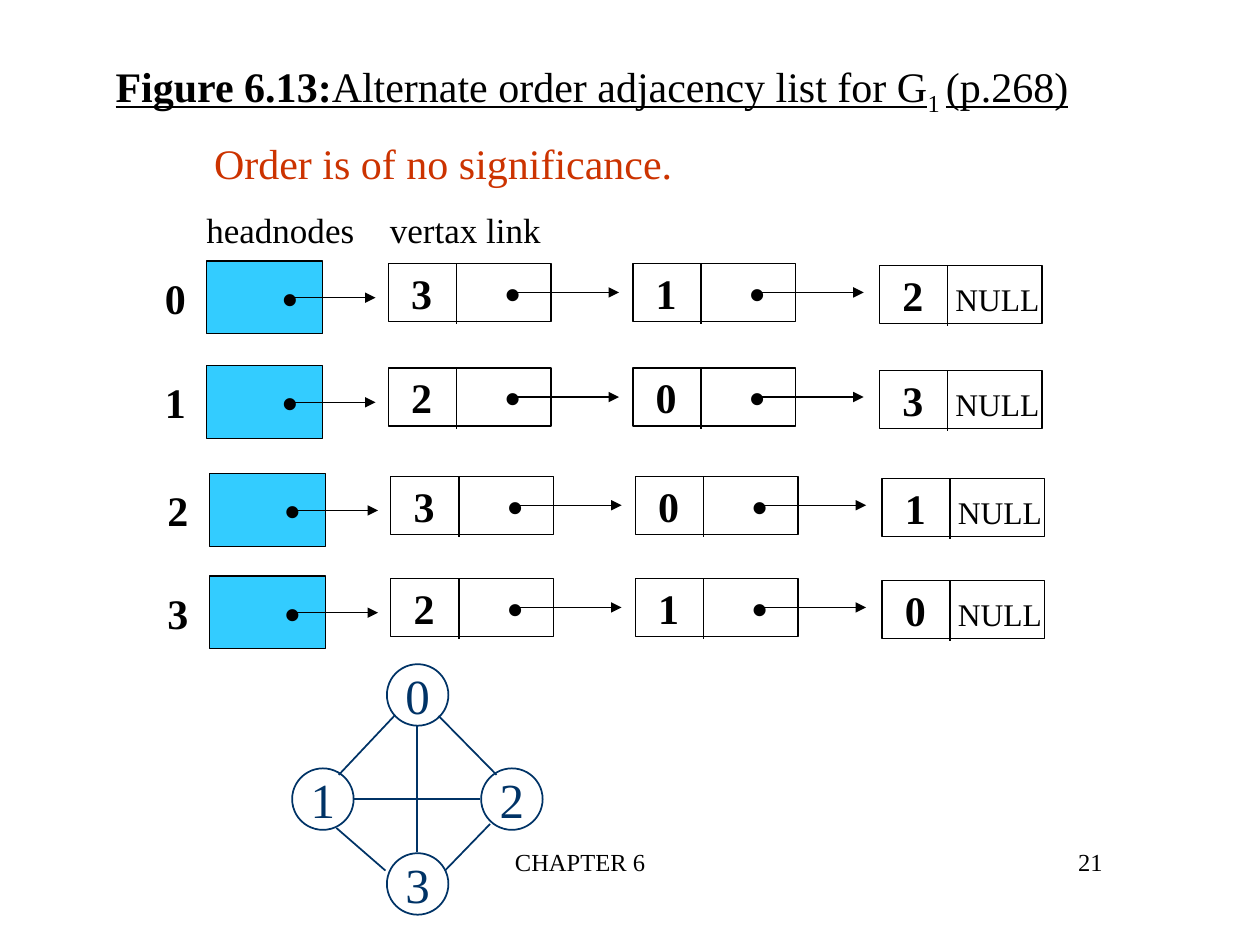
from dataclasses import dataclass
from typing import NamedTuple

import pptx
import pptx.dml.color
import pptx.enum.shapes
import pptx.enum.text
import pptx.oxml
import pptx.oxml.ns
import pptx.util

Cm, Pt = pptx.util.Cm, pptx.util.Pt
SHAPE = pptx.enum.shapes.MSO_SHAPE
ALIGN = pptx.enum.text.PP_ALIGN
ANCHOR = pptx.enum.text.MSO_ANCHOR

SERIF = "Times New Roman"
BLACK, WHITE, CYAN, NAVY, RED = "000000", "FFFFFF", "33CCFF", "003366", "CC3300"
CELL_W, CELL_H = 3.28, 1.17


class Run(NamedTuple):
    text: str
    size: float = 24
    color: str = BLACK
    bold: bool = False
    underline: bool = False
    font: str = SERIF
    baseline: int = 0


class Box(NamedTuple):
    x: float
    y: float
    w: float
    h: float


@dataclass
class ListRow:
    label: str
    x: float
    y: float
    vertices: str


class Edge(NamedTuple):
    x1: float
    y1: float
    x2: float
    y2: float


ROWS = [
    ListRow("0", 4.17, 5.26, "312"),
    ListRow("1", 4.17, 7.37, "203"),
    ListRow("2", 4.22, 9.55, "301"),
    ListRow("3", 4.22, 11.61, "210"),
]
CELL_OFFSETS = [(3.66, 0.05), (8.59, 0.05), (13.56, 0.1)]

VERTICES = {"0": (7.8, 13.39), "1": (5.89, 15.49), "2": (9.7, 15.49), "3": (7.8, 17.2)}
EDGES = [
    Edge(8.41, 14.63, 8.41, 17.17),
    Edge(7.14, 16.1, 9.68, 16.1),
    Edge(7.95, 14.43, 6.83, 15.62),
    Edge(8.84, 14.43, 10.01, 15.62),
    Edge(6.78, 16.69, 7.77, 17.55),
    Edge(9.88, 16.61, 8.97, 17.55),
]
DOT = Run("•", bold=True, font="Arial")


def rgb(color: str) -> pptx.dml.color.RGBColor:
    return pptx.dml.color.RGBColor.from_string(color)


def add_xml(parent, tag: str, **attrs: str):
    el = pptx.oxml.parse_xml(f"<a:{tag} {pptx.oxml.ns.nsdecls('a')}/>")
    for name, value in attrs.items():
        el.set(name, value)
    parent.append(el)
    return el


def set_text(sp, *runs: Run, align=ALIGN.LEFT, anchor=ANCHOR.MIDDLE, wrap: bool = True,
             left: float = 0.25, right: float = 0.25, tab: float | None = None) -> None:
    tf = sp.text_frame
    tf.auto_size = pptx.enum.text.MSO_AUTO_SIZE.NONE
    tf.word_wrap, tf.vertical_anchor = wrap, anchor
    tf.margin_left, tf.margin_right = Cm(left), Cm(right)
    tf.margin_top = tf.margin_bottom = Cm(0.13)
    p = tf.paragraphs[0]
    p.alignment = align
    if tab is not None:
        tabs = add_xml(p._p.get_or_add_pPr(), "tabLst")
        add_xml(tabs, "tab", pos=str(Cm(tab)), algn="l")
    for run in runs:
        r = p.add_run()
        r.text = run.text
        font = r.font
        font.name, font.size = run.font, Pt(run.size)
        font.bold, font.underline = run.bold, run.underline
        font.color.rgb = rgb(run.color)
        if run.baseline:
            font._element.set("baseline", str(run.baseline * 1000))


def add_text(shapes, box: Box, *runs: Run, **fmt) -> None:
    sp = shapes.add_textbox(*map(Cm, box))
    set_text(sp, *runs, **fmt)


def add_shape(shapes, kind, box: Box, *runs: Run, fill: str = WHITE,
              line: str = BLACK, width: float = 0.75, **fmt) -> None:
    sp = shapes.add_shape(kind, *map(Cm, box))
    sp.shadow.inherit = False
    sp.fill.solid()
    sp.fill.fore_color.rgb = rgb(fill)
    sp.line.color.rgb = rgb(line)
    sp.line.width = Pt(width)
    set_text(sp, *runs, **fmt)


def add_line(shapes, edge: Edge, color: str = BLACK, width: float = 0.75,
             arrow: bool = False) -> None:
    c = shapes.add_connector(pptx.enum.shapes.MSO_CONNECTOR.STRAIGHT, *map(Cm, edge))
    c.line.color.rgb = rgb(color)
    c.line.width = Pt(width)
    if arrow:
        add_xml(c.line._get_or_add_ln(), "tailEnd", type="triangle")
    add_xml(c._element.spPr, "effectLst")


def add_arrow(shapes, x: float, y: float, length: float) -> None:
    add_line(shapes, Edge(x, y, x + length, y), arrow=True)


def add_cell(shapes, x: float, y: float, vertex: str, last: bool) -> None:
    """Draw a list node: its vertex, and a link or NULL."""
    link = Run("NULL", size=18) if last else DOT
    add_shape(shapes, SHAPE.RECTANGLE, Box(x, y, CELL_W, CELL_H),
              Run(f"{vertex}\t", bold=True), link,
              left=0.46, right=0, tab=1.07 if last else 1.9)
    add_line(shapes, Edge(x + 1.37, y, x + 1.37, y + 1.22))
    if not last:
        add_arrow(shapes, x + 2.54, y + CELL_H / 2, 2.11)


def add_row(slide, row: ListRow) -> None:
    shapes = slide.shapes.add_group_shape().shapes
    add_shape(shapes, SHAPE.RECTANGLE, Box(row.x, row.y, 2.34, 1.47), DOT,
              fill=CYAN, left=1.53, right=0)
    add_arrow(shapes, row.x + 1.7, row.y + 0.74, 1.7)
    for i, (vertex, (dx, dy)) in enumerate(zip(row.vertices, CELL_OFFSETS)):
        add_cell(shapes, row.x + dx, row.y + dy, vertex, i == len(CELL_OFFSETS) - 1)
    add_text(shapes, Box(row.x - 1.09, row.y + 0.1, 0.91, 1.27),
             Run(row.label, bold=True), align=ALIGN.CENTER, wrap=False)


def add_title(slide) -> None:
    title = slide.shapes.title
    title.left, title.top, title.width, title.height = map(Cm, Box(2.08, 0.81, 21.59, 1.96))
    set_text(title, Run("Figure 6.13:", bold=True, underline=True),
             Run("Alternate order adjacency list for G", underline=True),
             Run("1 ", baseline=-25), Run("(p.268)", underline=True))


def main() -> None:
    prs = pptx.Presentation()
    prs.slide_width, prs.slide_height = Cm(25.4), Cm(19.05)
    s = prs.slides.add_slide(prs.slide_layouts[5])
    add_title(s)
    add_text(s.shapes, Box(7.67, 16.94, 8.05, 1.27), Run("CHAPTER 6", size=14),
             align=ALIGN.CENTER, anchor=ANCHOR.TOP)
    add_text(s.shapes, Box(17.2, 16.94, 5.28, 1.27), Run("21", size=14),
             align=ALIGN.RIGHT, anchor=ANCHOR.TOP)
    for row in ROWS:
        add_row(s, row)
    add_text(s.shapes, Box(3.91, 4.06, 7.24, 1.12),
             Run("headnodes\tvertax link", size=20), right=0, tab=3.7)
    add_text(s.shapes, Box(4.06, 2.64, 9.75, 1.27),
             Run("Order is of no significance.", color=RED),
             align=ALIGN.CENTER, wrap=False)
    for label, (x, y) in VERTICES.items():
        add_shape(s.shapes, SHAPE.OVAL, Box(x, y, 1.24, 1.24),
                  Run(label, size=28, color=NAVY), line=NAVY, width=1,
                  align=ALIGN.CENTER, wrap=False)
    for edge in EDGES:
        add_line(s.shapes, edge, color=NAVY, width=1)
    prs.save("out.pptx")


if __name__ == "__main__":
    main()
